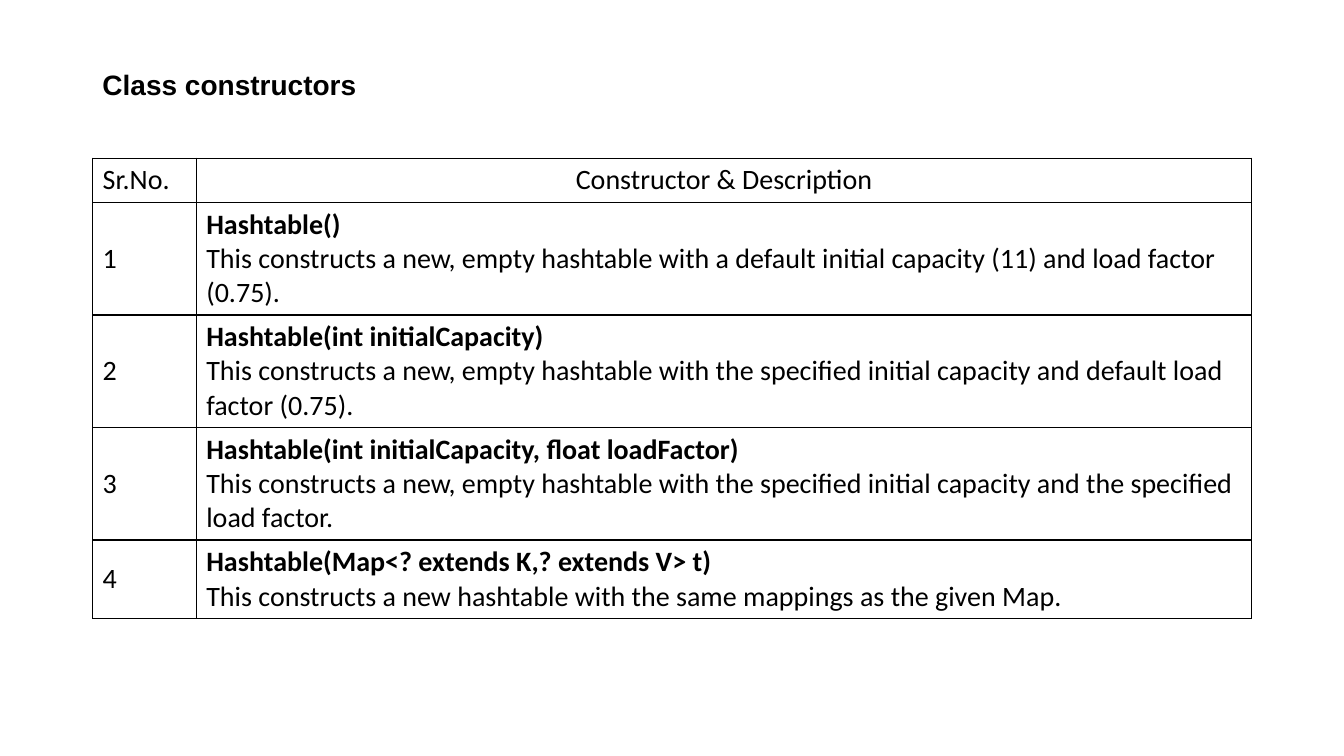
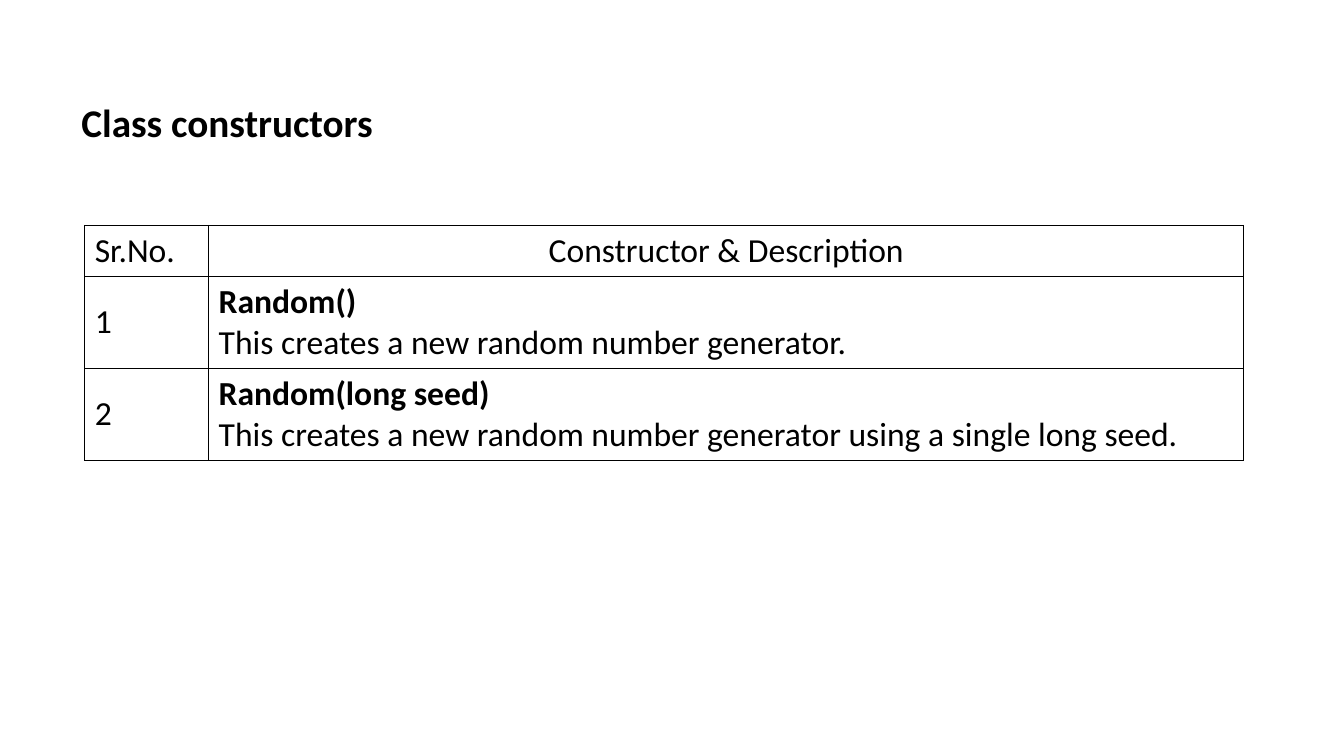
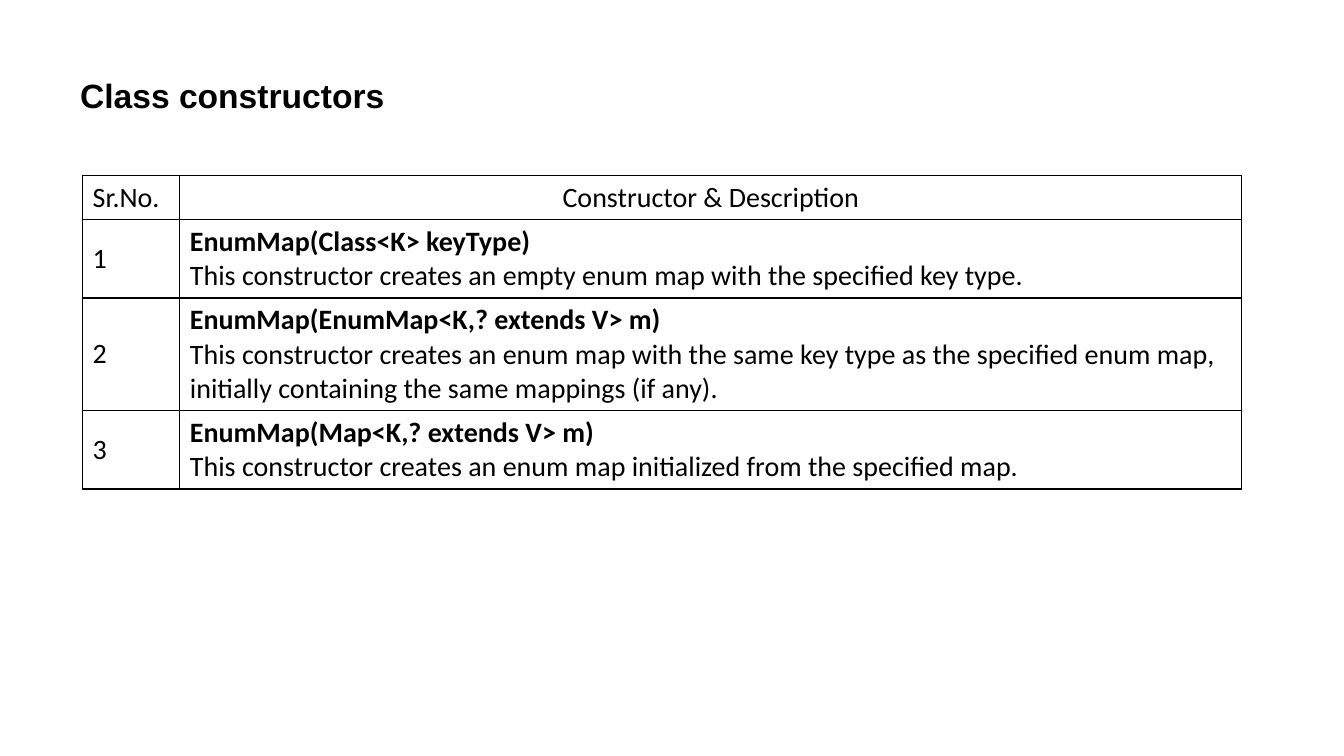
from dataclasses import dataclass

from lxml.etree import SubElement
from pptx import Presentation
from pptx.dml.color import RGBColor
from pptx.enum.text import MSO_ANCHOR, MSO_AUTO_SIZE, PP_ALIGN
from pptx.oxml.ns import qn
from pptx.slide import Slide
from pptx.table import _Cell
from pptx.text.text import TextFrame
from pptx.util import Pt


# Shared look
@dataclass(frozen=True)
class Theme:
    ink: RGBColor = RGBColor(0, 0, 0)
    paper: RGBColor = RGBColor(255, 255, 255)
    body_font: str = "Calibri"
    heading_font: str = "Arial"
    small: int = 20
    medium: int = 24
    large: int = 28
    line_height: float = 1.22
    cell_padding: float = 7.2
    border: float = 1
    table_width: float = 828


THEME = Theme()
TITLE = "Class constructors"
HEADERS = ("Sr.No.", "Constructor & Description")


# Content records
@dataclass(frozen=True)
class Constructor:
    signature: str
    description: str
    description_lines: int = 1


@dataclass(frozen=True)
class ClassPage:
    title_box: tuple[float, float, float, float]
    title_font: str
    title_size: int
    table_left: float
    table_top: float
    number_width: float
    text_size: int
    constructors: tuple[Constructor, ...]


PAGES = (
    ClassPage(
        (66, 44, 200, 32), THEME.heading_font, THEME.small,
        66.2, 113, 74, THEME.small,
        (
            Constructor("Hashtable()",
                        "This constructs a new, empty hashtable with a default "
                        "initial capacity (11) and load factor (0.75).", 2),
            Constructor("Hashtable(int initialCapacity)",
                        "This constructs a new, empty hashtable with the specified "
                        "initial capacity and default load factor (0.75).", 2),
            Constructor("Hashtable(int initialCapacity, float loadFactor)",
                        "This constructs a new, empty hashtable with the specified "
                        "initial capacity and the specified load factor.", 2),
            Constructor("Hashtable(Map<? extends K,? extends V> t)",
                        "This constructs a new hashtable with the same mappings "
                        "as the given Map."),
        ),
    ),
    ClassPage(
        (51, 66.5, 402, 41), THEME.body_font, THEME.large,
        60.5, 161, 88.5, THEME.medium,
        (
            Constructor("Random()", "This creates a new random number generator."),
            Constructor("Random(long seed)",
                        "This creates a new random number generator using a "
                        "single long seed."),
        ),
    ),
    ClassPage(
        (50, 50, 462, 36), THEME.heading_font, THEME.medium,
        59, 125.3, 69.5, THEME.small,
        (
            Constructor("EnumMap(Class<K> keyType)",
                        "This constructor creates an empty enum map with the "
                        "specified key type."),
            Constructor("EnumMap(EnumMap<K,? extends V> m)",
                        "This constructor creates an enum map with the same key "
                        "type as the specified enum map, initially containing the "
                        "same mappings (if any).", 2),
            Constructor("EnumMap(Map<K,? extends V> m)",
                        "This constructor creates an enum map initialized from "
                        "the specified map."),
        ),
    ),
)


def write(frame: TextFrame, *lines: str, size: int, font: str = THEME.body_font,
          bold_first: bool = False, align: PP_ALIGN = PP_ALIGN.LEFT) -> None:
    """Write one paragraph per line, optionally with a bold first line."""
    for index, line in enumerate(lines):
        paragraph = frame.add_paragraph() if index else frame.paragraphs[0]
        paragraph.alignment = align
        run = paragraph.add_run()
        run.text = line
        run.font.name = font
        run.font.size = Pt(size)
        run.font.bold = bold_first and index == 0
        run.font.color.rgb = THEME.ink


def style_cell(cell: _Cell) -> None:
    """Give a cell its four borders, its fill and its anchor."""
    properties = cell._tc.get_or_add_tcPr()
    for side in ("a:lnL", "a:lnR", "a:lnT", "a:lnB"):
        border = SubElement(properties, qn(side), w=str(Pt(THEME.border)))
        fill = SubElement(border, qn("a:solidFill"))
        SubElement(fill, qn("a:srgbClr"), val=str(THEME.ink))
    cell.fill.solid()
    cell.fill.fore_color.rgb = THEME.paper
    cell.vertical_anchor = MSO_ANCHOR.MIDDLE


def add_title(slide: Slide, page: ClassPage) -> None:
    title = slide.shapes.title
    title.left, title.top, title.width, title.height = map(Pt, page.title_box)
    frame = title.text_frame
    frame.word_wrap = True
    frame.auto_size = MSO_AUTO_SIZE.SHAPE_TO_FIT_TEXT
    frame.vertical_anchor = MSO_ANCHOR.MIDDLE
    write(frame, TITLE, size=page.title_size, font=page.title_font, bold_first=True)


def add_constructor_table(slide: Slide, page: ClassPage) -> None:
    # Row heights follow from the number of text lines
    line_counts = [1] + [1 + item.description_lines for item in page.constructors]
    heights = [round(count * page.text_size * THEME.line_height + THEME.cell_padding, 2)
               for count in line_counts]
    table = slide.shapes.add_table(
        len(heights), len(HEADERS), Pt(page.table_left), Pt(page.table_top),
        Pt(THEME.table_width), Pt(sum(heights))).table
    table.first_row = table.horz_banding = False
    table.columns[0].width = Pt(page.number_width)
    table.columns[1].width = Pt(THEME.table_width - page.number_width)
    for row, height in zip(table.rows, heights):
        row.height = Pt(height)
    for cell in table.iter_cells():
        style_cell(cell)

    # Header row, then one numbered row per constructor
    for column, (header, align) in enumerate(zip(HEADERS, (PP_ALIGN.LEFT, PP_ALIGN.CENTER))):
        write(table.cell(0, column).text_frame, header, size=page.text_size, align=align)
    for number, item in enumerate(page.constructors, start=1):
        write(table.cell(number, 0).text_frame, str(number), size=page.text_size)
        write(table.cell(number, 1).text_frame, item.signature, item.description,
              size=page.text_size, bold_first=True)


def main() -> None:
    deck = Presentation()
    deck.slide_width, deck.slide_height = Pt(960), Pt(540)
    title_only = deck.slide_layouts[5]
    for page in PAGES:
        slide = deck.slides.add_slide(title_only)
        add_constructor_table(slide, page)
        add_title(slide, page)
    deck.save("out.pptx")


if __name__ == "__main__":
    main()
